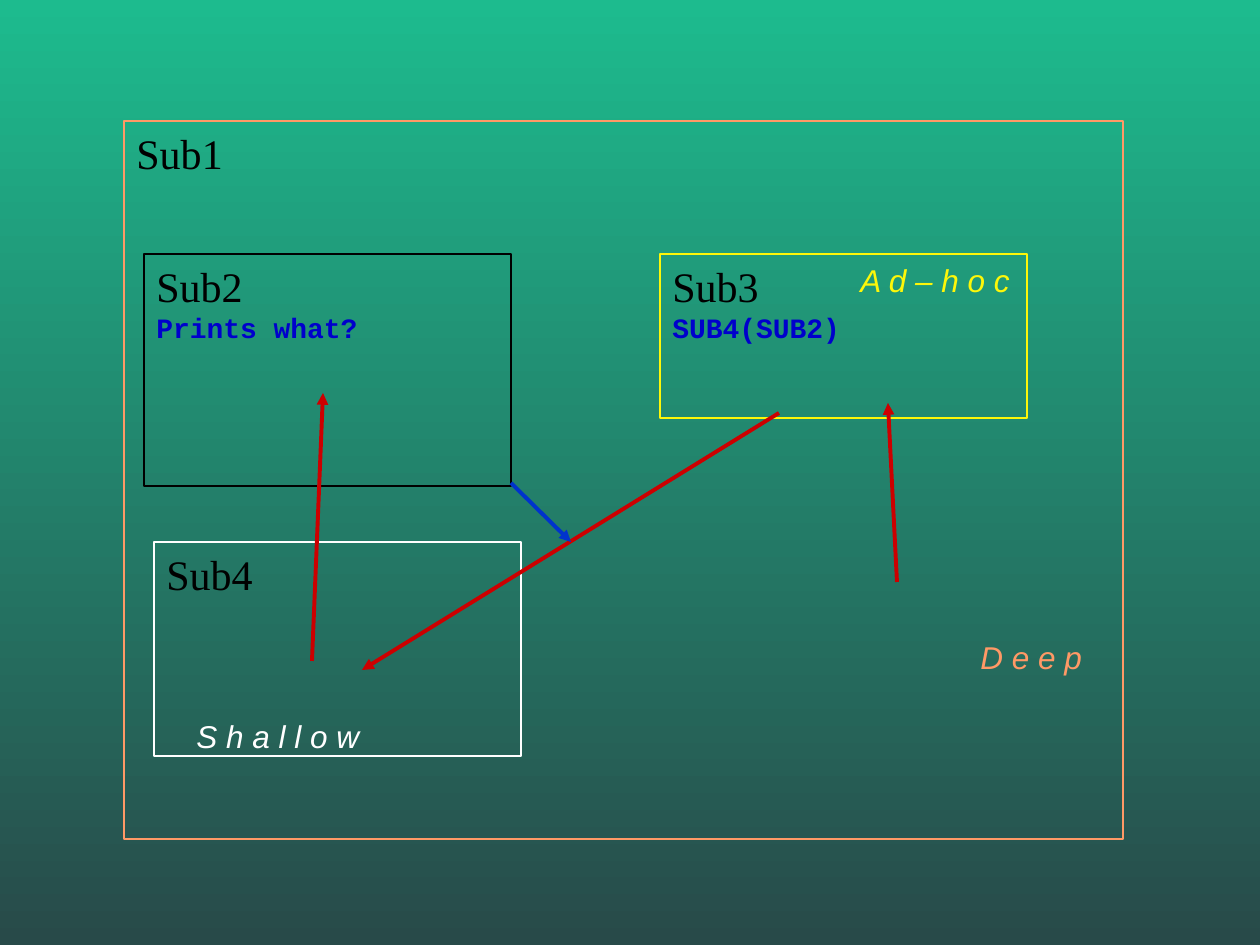
from lxml import etree
from pptx import Presentation
from pptx.dml.color import RGBColor
from pptx.enum.shapes import MSO_CONNECTOR, MSO_SHAPE
from pptx.enum.text import MSO_ANCHOR, MSO_AUTO_SIZE, PP_ALIGN
from pptx.oxml.ns import qn
from pptx.util import Emu, Pt

RECTANGLE = MSO_SHAPE.RECTANGLE
STRAIGHT = MSO_CONNECTOR.STRAIGHT
TOP = MSO_ANCHOR.TOP
LEFT = PP_ALIGN.LEFT
FIT_TEXT = MSO_AUTO_SIZE.SHAPE_TO_FIT_TEXT

PX_PER_INCH = 126
BLACK, WHITE = "000000", "FFFFFF"
ORANGE, YELLOW = "FF9966", "FDF709"
RED, BLUE, CODE_BLUE = "CC0000", "0033CC", "0000CC"

SCOPES = [
    ((124, 121, 999, 718), ORANGE, 1, "Sub1", None),
    ((144, 254, 367, 232), BLACK, 0.75, "Sub2", "Prints what?"),
    ((660, 254, 367, 164), YELLOW, 0.75, "Sub3", "SUB4(SUB2)"),
    ((154, 542, 367, 214), WHITE, 0.75, "Sub4", None),
]
CALLS = [
    ((897, 582), (888, 403), RED),
    ((779, 413), (362, 670), RED),
    ((511, 483), (571, 542), BLUE),
    ((312, 661), (323, 393), RED),
]
BINDINGS = [
    ((184, 711, 188, 50), "S h a l l o w", WHITE),
    ((968, 632, 136, 50), "D e e p", ORANGE),
    ((848, 255, 180, 50), "A d – h o c", YELLOW),
]


def px(*lengths):
    """Turn pixel lengths into a list of EMU."""
    return [Emu(round(length * 914400 / PX_PER_INCH)) for length in lengths]


def color(hex_string):
    """Turn a hex string into a colour."""
    return RGBColor.from_string(hex_string)


def write(paragraph, text, *, size, font, fill, bold=False, italic=False):
    """Put formatted text in a paragraph."""
    paragraph.alignment = LEFT
    run = paragraph.add_run()
    run.text = text
    run.font.size = Pt(size)
    run.font.name = font
    run.font.bold = bold
    run.font.italic = italic
    run.font.color.rgb = color(fill)


def paint_background(slide, top, bottom):
    """Fill the slide with a gradient from top to bottom."""
    fill = slide.background.fill
    fill.gradient()
    fill.gradient_angle = 270
    for stop, shade in zip(fill.gradient_stops, (top, bottom)):
        stop.color.rgb = color(shade)


def add_scope(slide, box, outline, width, name, statement):
    """Draw a subprogram frame with its name and optional statement."""
    scope = slide.shapes.add_shape(RECTANGLE, *px(*box))
    scope.shadow.inherit = False
    scope.fill.background()
    scope.line.color.rgb = color(outline)
    scope.line.width = Pt(width)
    frame = scope.text_frame
    frame.word_wrap = True
    frame.vertical_anchor = TOP
    write(frame.paragraphs[0], name, size=24, font="Times New Roman", fill=BLACK)
    if statement:
        write(frame.add_paragraph(), statement, size=16, font="Courier New",
              fill=CODE_BLUE, bold=True)


def add_arrow(slide, start, end, stroke):
    """Draw an arrow that points at its end."""
    arrow = slide.shapes.add_connector(STRAIGHT, *px(*start, *end))
    arrow.line.color.rgb = color(stroke)
    arrow.line.width = Pt(2.25)
    properties = arrow._element.spPr
    etree.SubElement(properties.find(qn("a:ln")), qn("a:tailEnd"), type="triangle")
    etree.SubElement(properties, qn("a:effectLst"))


def add_binding(slide, box, text, fill):
    """Write the name of a binding kind."""
    frame = slide.shapes.add_textbox(*px(*box)).text_frame
    frame.word_wrap = False
    frame.auto_size = FIT_TEXT
    write(frame.paragraphs[0], text, size=18, font="Arial", fill=fill, italic=True)


def main():
    """Build and save the slide."""
    deck = Presentation()
    deck.slide_width, deck.slide_height = px(1260, 945)
    slide = deck.slides.add_slide(deck.slide_layouts[6])
    paint_background(slide, "1DBB8E", "284A49")
    for scope in SCOPES:
        add_scope(slide, *scope)
    for call in CALLS:
        add_arrow(slide, *call)
    for binding in BINDINGS:
        add_binding(slide, *binding)
    deck.save("out.pptx")


if __name__ == "__main__":
    main()
